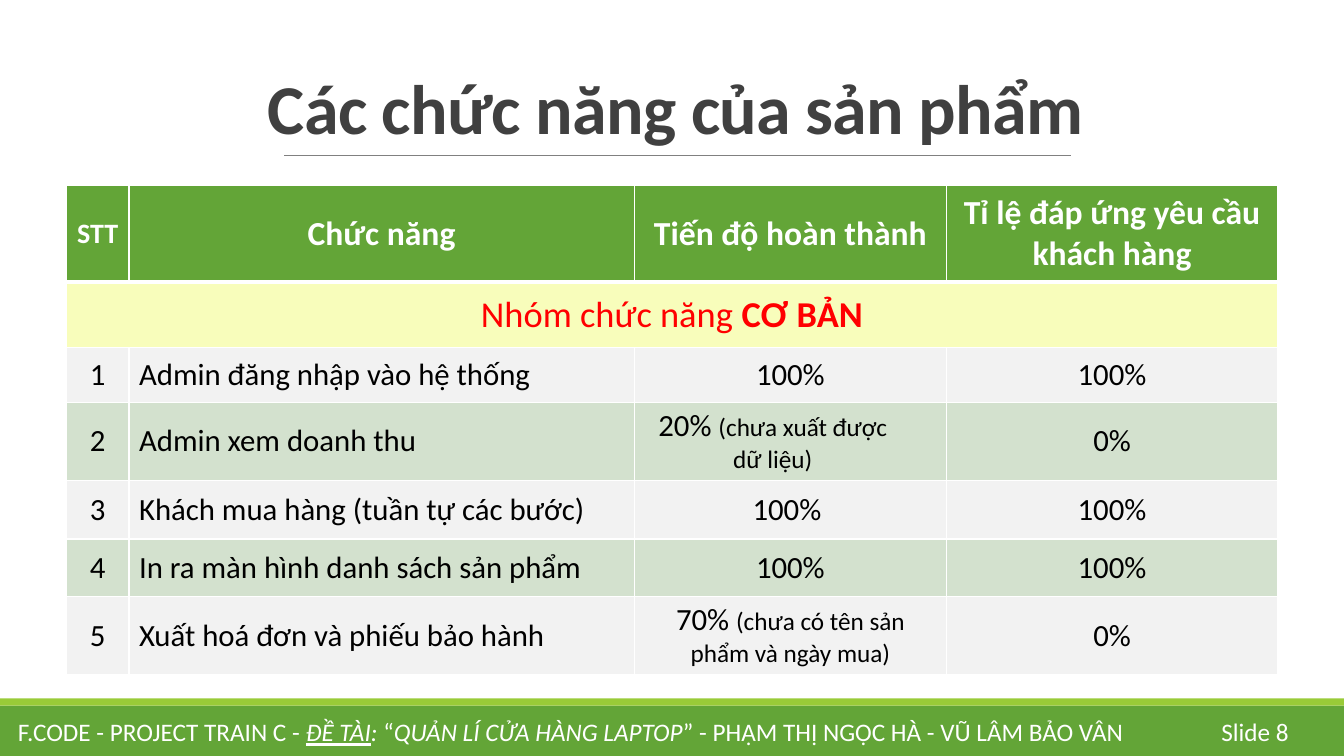
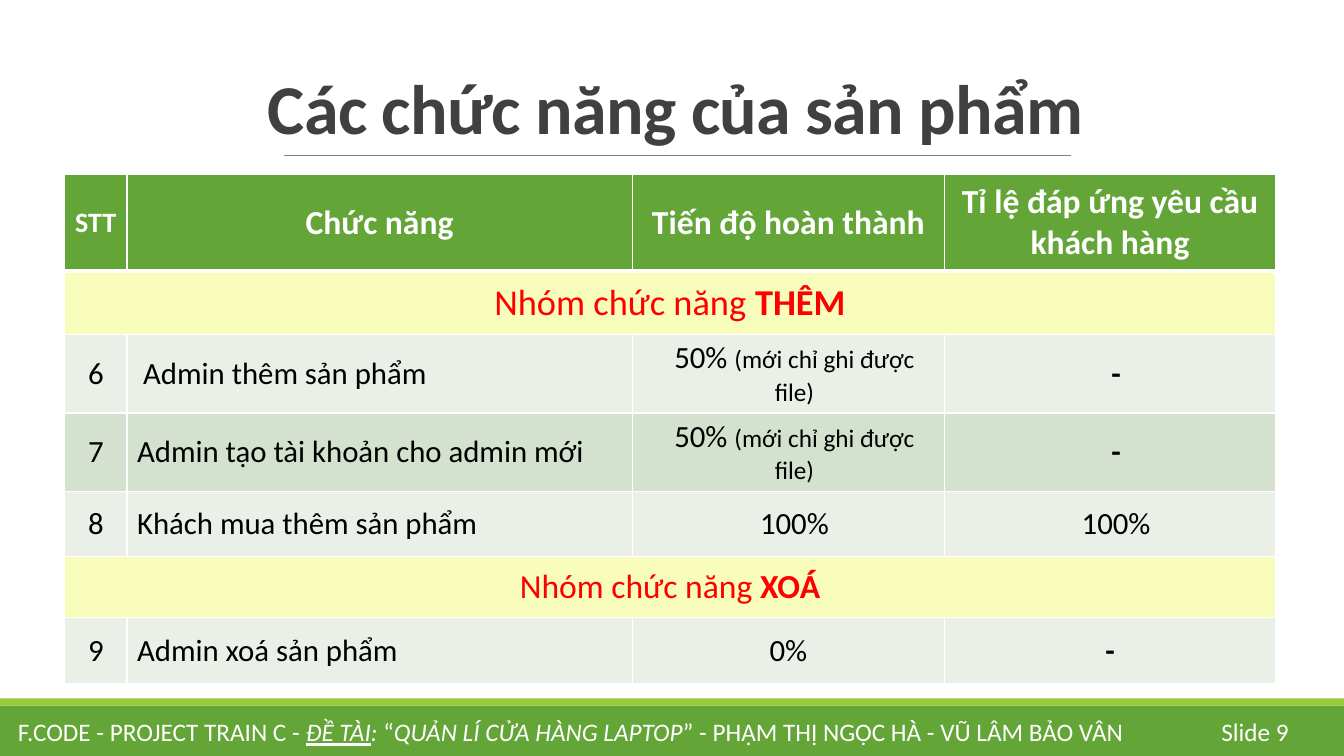
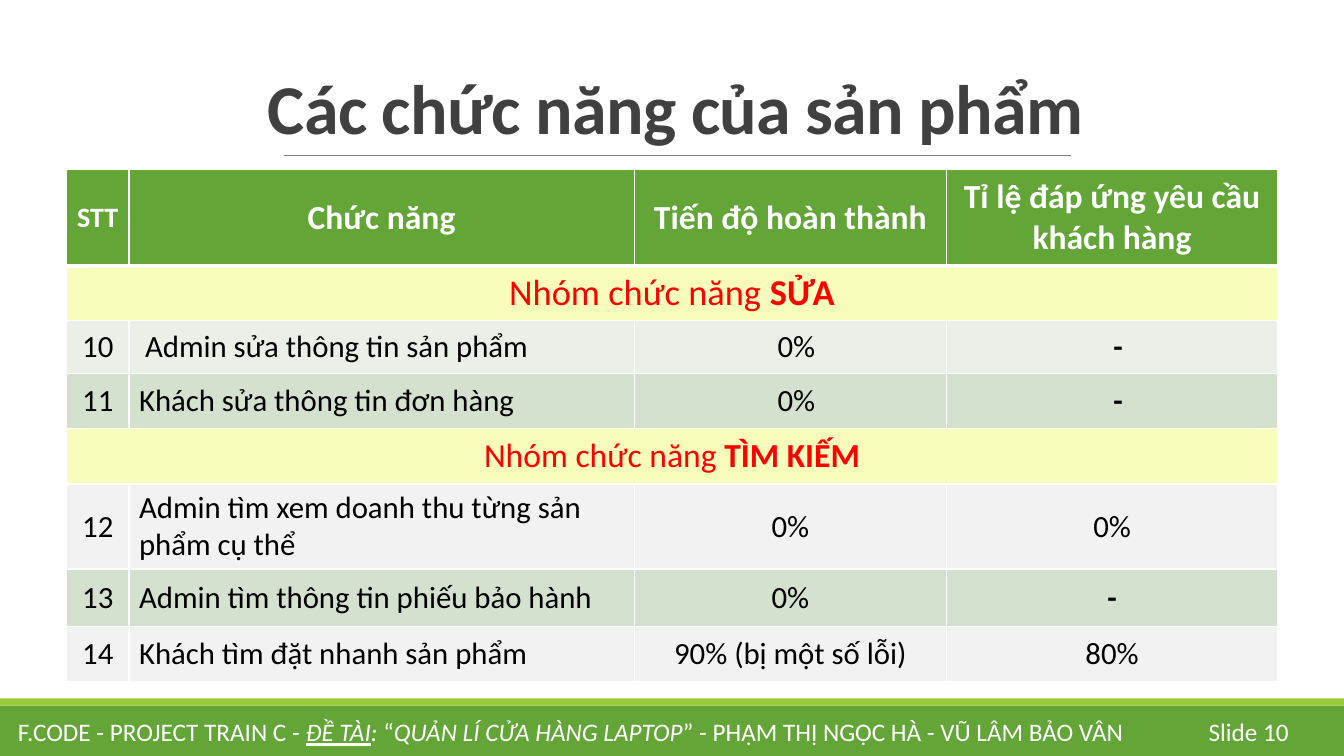
from collections import namedtuple

from lxml import etree
from pptx import Presentation
from pptx.dml.color import RGBColor
from pptx.enum.shapes import MSO_CONNECTOR, MSO_SHAPE, PP_PLACEHOLDER
from pptx.enum.text import MSO_ANCHOR, MSO_AUTO_SIZE, PP_ALIGN
from pptx.oxml.ns import qn
from pptx.util import Inches, Pt

RECTANGLE = MSO_SHAPE.RECTANGLE
STRAIGHT = MSO_CONNECTOR.STRAIGHT
TITLE = PP_PLACEHOLDER.TITLE
LEFT, CENTER, RIGHT = PP_ALIGN.LEFT, PP_ALIGN.CENTER, PP_ALIGN.RIGHT
MIDDLE, BOTTOM = MSO_ANCHOR.MIDDLE, MSO_ANCHOR.BOTTOM
NO_AUTOFIT = MSO_AUTO_SIZE.NONE

GREEN = RGBColor(0x63, 0xA5, 0x37)
LIME = RGBColor(0x99, 0xCB, 0x38)
WHITE = RGBColor(0xFF, 0xFF, 0xFF)
BLACK = RGBColor(0x00, 0x00, 0x00)
RED = RGBColor(0xFF, 0x00, 0x00)
GRAY = RGBColor(0x80, 0x80, 0x80)
CHARCOAL = RGBColor(0x40, 0x40, 0x40)
YELLOW = RGBColor(0xF8, 0xFD, 0xBB)
PALE_GRAY = RGBColor(0xF2, 0xF2, 0xF2)
PALE_GREEN = RGBColor(0xEA, 0xF0, 0xE8)
SAGE = RGBColor(0xD3, 0xE1, 0xCE)

FONT = "Calibri"
GRID_COLUMNS, GRID_ROWS = 1333, 750
UNIT = Inches(0.01)

Box = namedtuple("Box", "left top width height")
Group = namedtuple("Group", "name light inset rows")
Row = namedtuple("Row", "name progress rate note narrowing", defaults=("", 0))
Page = namedtuple("Page", "number left top heights groups")

TITLE_BOX = Box(120, 31, 1100, 122)
BAND_BOX = Box(0, 693, GRID_COLUMNS, 57)
STRIPE_HEIGHT = 7
RULE_LEFT, RULE_RIGHT, RULE_TOP = 282, 1062, 154
FOOTER_BOX = Box(8, 706, 1121, 40)
NUMBER_BOX = Box(1182, 706, 106, 40)
COLUMN_WIDTHS = (62, 501, 310, 328)
CELL_MARGIN = 10
NAME_INSET, VALUE_INSET = 6, 12

TITLE_TEXT = "Các chức năng của sản phẩm"
HEADERS = ("STT", "Chức năng", "Tiến độ hoàn thành", "Tỉ lệ đáp ứng yêu cầu khách hàng")
FOOTER_FORMAT = {"size": Pt(18), "color": WHITE}
FOOTER_RUNS = (
    ("F.CODE - PROJECT TRAIN C - ", {}),
    ("ĐỀ TÀI", {"italic": True, "underline": True}),
    (": ", {"italic": True}),
    ("“", {}),
    ("QUẢN LÍ CỬA HÀNG LAPTOP", {"italic": True}),
    ("” - PHẠM THỊ NGỌC HÀ - VŨ LÂM BẢO VÂN", {}),
)

PAGES = (
    Page(8, 66, 184, (96, 65, 54, 60, 58, 57, 54), (
        Group("CƠ BẢN", PALE_GRAY, False, (
            Row("Admin đăng nhập vào hệ thống", "100%", "100%"),
            Row("Admin xem doanh thu", "20% ", "0%", "(chưa xuất được dữ liệu)", 35),
            Row("Khách mua hàng (tuần tự các bước)", "100% ", "100%"),
            Row("In ra màn hình danh sách sản phẩm", "100%", "100%"),
            Row("Xuất hoá đơn và phiếu bảo hành", "70% ", "0%",
                "(chưa có tên sản phẩm và ngày mua)"),
        )),
    )),
    Page(9, 64, 173, (96, 63, 65, 66, 65, 60, 66), (
        Group("THÊM", PALE_GREEN, True, (
            Row("Admin thêm sản phẩm", "50% ", "-", "(mới chỉ ghi được file)"),
            Row("Admin tạo tài khoản cho admin mới", "50% ", "-", "(mới chỉ ghi được file)"),
            Row("Khách mua thêm sản phẩm", "100%", "100%"),
        )),
        Group("XOÁ", PALE_GREEN, False, (
            Row("Admin xoá sản phẩm", "0%", "-"),
        )),
    )),
    Page(10, 66, 168, (96, 54, 52, 55, 55, 38, 57, 55), (
        Group("SỬA", PALE_GREEN, True, (
            Row("Admin sửa thông tin sản phẩm", "0%", "-"),
            Row("Khách sửa thông tin đơn hàng", "0%", "-"),
        )),
        Group("TÌM KIẾM", PALE_GRAY, False, (
            Row("Admin tìm xem doanh thu từng sản phẩm cụ thể", "0%", "0%"),
            Row("Admin tìm thông tin phiếu bảo hành", "0%", "-"),
            Row("Khách tìm đặt nhanh sản phẩm", "90% (bị một số lỗi)", "80%"),
        )),
    )),
)


def lengths(box):
    """Turn a box in grid units into slide lengths."""
    return [round(value * UNIT) for value in box]


def write(paragraph, runs, alignment, common):
    """Write formatted runs into a paragraph."""
    paragraph.alignment = alignment
    for text, changes in runs:
        run = paragraph.add_run()
        run.text = text
        values = {"name": FONT, "bold": False, **common, **changes}
        run.font.color.rgb = values.pop("color")
        for attribute, value in values.items():
            setattr(run.font, attribute, value)


def add_bar(shapes, box, color):
    """Add a plain filled rectangle."""
    bar = shapes.add_shape(RECTANGLE, *lengths(box))
    bar.shadow.inherit = False
    bar.fill.solid()
    bar.fill.fore_color.rgb = color
    bar.line.fill.background()
    return bar


def add_rule(shapes):
    """Add the thin line under the title."""
    rule = shapes.add_connector(
        STRAIGHT, *lengths((RULE_LEFT, RULE_TOP, RULE_RIGHT, RULE_TOP)))
    rule.line.color.rgb = GRAY
    rule.line.width = Pt(0.5)
    etree.SubElement(rule.element.spPr, qn("a:effectLst"))
    return rule


def decorate_layout(layout, shapes, box):
    """Move the bands and the title rule onto the layout."""
    for placeholder in list(layout.placeholders):
        if placeholder.placeholder_format.type != TITLE:
            layout.shapes.element.remove(placeholder.element)
    band = box._replace(top=box.top + STRIPE_HEIGHT, height=box.height - STRIPE_HEIGHT)
    stripe = box._replace(height=STRIPE_HEIGHT)
    for shape in (add_bar(shapes, band, GREEN), add_bar(shapes, stripe, LIME), add_rule(shapes)):
        layout.shapes.element.append(shape.element)


def fill_title(title, box):
    """Place and format the title placeholder."""
    title.left, title.top, title.width, title.height = lengths(box)
    frame = title.text_frame
    frame.auto_size = NO_AUTOFIT
    frame.word_wrap = True
    frame.vertical_anchor = BOTTOM
    paragraph = frame.paragraphs[0]
    paragraph.line_spacing = 0.85
    write(paragraph, [(TITLE_TEXT, {})], CENTER,
          {"size": Pt(50), "color": CHARCOAL, "bold": True})
    paragraph.runs[0].font._element.set("spc", "-50")


def add_footer_text(shapes, box, runs, alignment):
    """Add one text of the footer band."""
    frame = shapes.add_textbox(*lengths(box)).text_frame
    frame.word_wrap = True
    frame.vertical_anchor = MIDDLE
    write(frame.paragraphs[0], runs, alignment, FOOTER_FORMAT)


def set_borders(cell, top, bottom):
    """Give a cell white borders with the stated top and bottom widths."""
    properties = cell._tc.get_or_add_tcPr()
    for tag, width in (("lnL", 1), ("lnR", 1), ("lnT", top), ("lnB", bottom)):
        line = etree.SubElement(properties, qn(f"a:{tag}"), w=str(Pt(width)))
        fill = etree.SubElement(line, qn("a:solidFill"))
        etree.SubElement(fill, qn("a:srgbClr"), val=str(WHITE))


def fill_cell(cell, color, runs, common, alignment=CENTER, inset=0, narrowing=0):
    """Fill a table cell and write its text."""
    cell.fill.solid()
    cell.fill.fore_color.rgb = color
    cell.vertical_anchor = MIDDLE
    cell.margin_left = (CELL_MARGIN + inset) * UNIT
    cell.margin_right = (CELL_MARGIN + narrowing) * UNIT
    write(cell.text_frame.paragraphs[0], runs, alignment, common)


def fill_group(table, index, group, number, size):
    """Fill a group heading and its rows, starting at a table row."""
    last = len(COLUMN_WIDTHS) - 1
    table.cell(index, 0).merge(table.cell(index, last))
    fill_cell(table.cell(index, 0), YELLOW,
              [("Nhóm chức năng ", {}), (group.name, {"bold": True})],
              {"size": Pt(size), "color": RED})
    value_inset = VALUE_INSET if group.inset else 0
    for offset, row in enumerate(group.rows):
        name_inset = NAME_INSET if group.inset and offset == 0 else 0
        progress = [(row.progress, {})]
        if row.note:
            progress.append((row.note, {"size": Pt(18)}))
        contents = (
            ([(str(number + offset), {})], CENTER, 0, 0),
            ([(row.name, {})], LEFT, name_inset, 0),
            (progress, CENTER, value_inset, row.narrowing),
            ([(row.rate, {"bold": row.rate == "-"})], CENTER, value_inset, 0),
        )
        color = SAGE if offset % 2 else group.light
        for column, (runs, alignment, inset, narrowing) in enumerate(contents):
            fill_cell(table.cell(index + 1 + offset, column), color, runs,
                      {"size": Pt(22), "color": BLACK}, alignment, inset, narrowing)


def add_function_table(shapes, box, heights, groups, number):
    """Add the table of functions in the given box."""
    table = shapes.add_table(len(heights), len(COLUMN_WIDTHS), *lengths(box)).table
    for column, width in zip(table.columns, COLUMN_WIDTHS):
        column.width = width * UNIT
    for index, height in enumerate(heights):
        table.rows[index].height = height * UNIT
        for cell in table.rows[index].cells:
            set_borders(cell, 3 if index == 1 else 1, 3 if index == 0 else 1)
    for column, header in enumerate(HEADERS):
        fill_cell(table.cell(0, column), GREEN, [(header, {})],
                  {"size": Pt(24 if column else 20), "color": WHITE, "bold": True})
    index = 1
    for position, group in enumerate(groups):
        fill_group(table, index, group, number, 24 if position else 26)
        index += len(group.rows) + 1
        number += len(group.rows)
    return number


def fill_slide(slide, page, number):
    """Fill one slide and return the next function number."""
    fill_title(slide.shapes.title, TITLE_BOX)
    box = Box(page.left, page.top, sum(COLUMN_WIDTHS), sum(page.heights))
    following = add_function_table(slide.shapes, box, page.heights, page.groups, number)
    add_footer_text(slide.shapes, NUMBER_BOX, [(f"Slide {page.number}", {})], RIGHT)
    add_footer_text(slide.shapes, FOOTER_BOX, FOOTER_RUNS, LEFT)
    return following


def main():
    """Build and save the presentation."""
    presentation = Presentation()
    presentation.slide_width = GRID_COLUMNS * UNIT
    presentation.slide_height = GRID_ROWS * UNIT
    layout = presentation.slide_layouts[5]
    slides = [presentation.slides.add_slide(layout) for _ in PAGES]
    decorate_layout(layout, slides[0].shapes, BAND_BOX)
    number = 1
    for slide, page in zip(slides, PAGES):
        number = fill_slide(slide, page, number)
    presentation.save("out.pptx")


if __name__ == "__main__":
    main()
